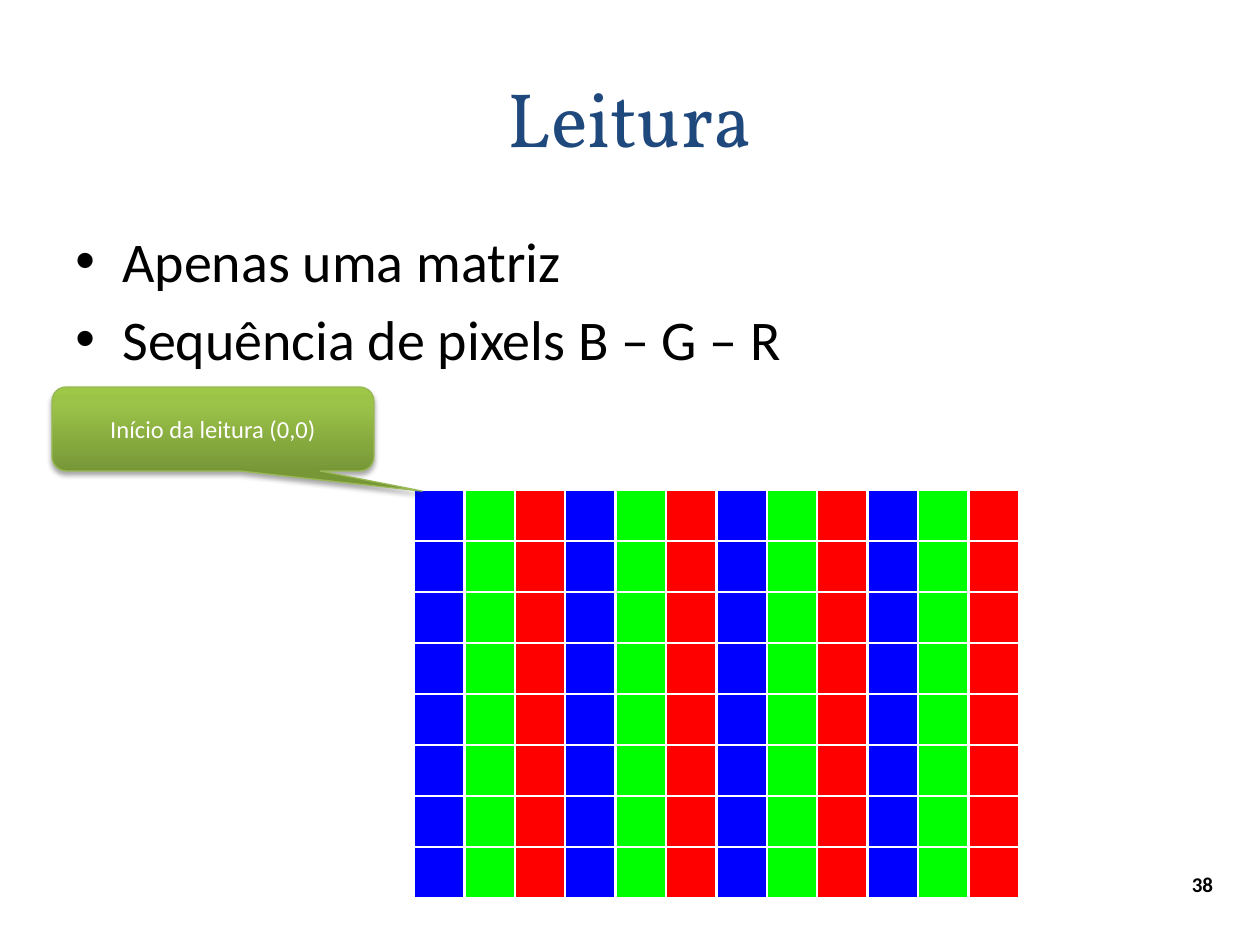
from copy import deepcopy

from lxml import etree
from pptx import Presentation
from pptx import util as u
from pptx.dml.color import RGBColor
from pptx.enum import shapes, text
from pptx.oxml import parse_xml
from pptx.oxml.ns import nsdecls, qn

SCALE = u.Inches(1) / 126
NAVY = RGBColor(0x1F, 0x49, 0x7D)
BLACK = RGBColor(0, 0, 0)
WHITE = RGBColor(255, 255, 255)
BLUE = RGBColor(0, 0, 255)
GREEN = RGBColor(0, 255, 0)
RED = RGBColor(255, 0, 0)
EDGE = RGBColor(0x98, 0xB9, 0x55)
SHADES = [
    (0, RGBColor(0x77, 0x97, 0x37)),
    (0.8, RGBColor(0x9B, 0xC3, 0x48)),
    (1, RGBColor(0x9D, 0xC7, 0x46)),
]
MIDDLE = text.MSO_ANCHOR.MIDDLE
CENTER = text.PP_ALIGN.CENTER

TITLE = {"name": "Vollkorn", "size": u.Pt(44)}
BODY = {"name": "Calibri", "size": u.Pt(32)}
PAGE = {"name": "Calibri", "size": u.Pt(12), "bold": True}
NOTE = {"name": "Calibri", "size": u.Pt(14)}


def px(*nums):
    return [u.Emu(round(n * SCALE)) for n in nums]


def apply(item, style):
    for key, value in style.items():
        setattr(item, key, value)


def write(frame, lines, font, color, para, anchor=MIDDLE):
    apply(frame, {"word_wrap": True, "vertical_anchor": anchor})
    for i, line in enumerate(lines):
        p = frame.add_paragraph() if i else frame.paragraphs[0]
        apply(p, para)
        run = p.add_run()
        run.text = line
        apply(run.font, font)
        run.font.color.rgb = color
    return frame


def add_text(slide, box, lines, font, color, para, anchor=MIDDLE):
    frame = slide.shapes.add_textbox(*px(*box)).text_frame
    return write(frame, lines, font, color, para, anchor)


def add_list(slide, box, lines):
    para = {"space_before": u.Pt(6.4)}
    frame = add_text(slide, box, lines, BODY, BLACK, para, text.MSO_ANCHOR.TOP)
    indent = px(47)[0]
    for p in frame.paragraphs:
        props = p._p.get_or_add_pPr()
        props.set("marL", str(indent))
        props.set("indent", str(-indent))
        etree.SubElement(props, qn("a:buFont")).set("typeface", "Arial")
        etree.SubElement(props, qn("a:buChar")).set("char", "•")


def add_border(cell):
    props = cell._tc.get_or_add_tcPr()
    for i, side in enumerate(("lnL", "lnR", "lnT", "lnB")):
        line = parse_xml(
            f'<a:{side} {nsdecls("a")} w="{u.Pt(1.5)}"><a:solidFill>'
            f'<a:srgbClr val="{WHITE}"/></a:solidFill></a:{side}>'
        )
        props.insert(i, line)


def add_grid(slide, box, rows, colors):
    table = slide.shapes.add_table(rows, len(colors), *px(*box)).table
    for row in table.rows:
        for cell, color in zip(row.cells, colors):
            cell.fill.solid()
            cell.fill.fore_color.rgb = color
            add_border(cell)


def shade(fill, stops):
    fill.gradient()
    fill.gradient_angle = 90
    first = fill.gradient_stops[0]._gs
    first.addnext(deepcopy(first))
    for stop, (place, color) in zip(fill.gradient_stops, stops):
        stop.position = place
        stop.color.rgb = color


def add_shadow(shape):
    shape._element.spPr.append(parse_xml(
        f'<a:effectLst {nsdecls("a")}><a:outerShdw blurRad="{u.Pt(3.1)}" '
        f'dist="{u.Pt(1.8)}" dir="5400000" rotWithShape="0">'
        f'<a:srgbClr val="{BLACK}"><a:alpha val="35000"/></a:srgbClr>'
        '</a:outerShdw></a:effectLst>'
    ))


def add_callout(slide, box, label):
    kind = shapes.MSO_SHAPE.ROUNDED_RECTANGULAR_CALLOUT
    shape = slide.shapes.add_shape(kind, *px(*box))
    for i, value in enumerate((0.65, 0.74, 0.17)):
        shape.adjustments[i] = value
    shade(shape.fill, SHADES)
    shape.line.color.rgb = EDGE
    shape.line.width = u.Pt(0.75)
    add_shadow(shape)
    write(shape.text_frame, [label], NOTE, WHITE, {"alignment": CENTER})


def main():
    deck = Presentation()
    deck.slide_width, deck.slide_height = px(1260, 945)
    slide = deck.slides.add_slide(deck.slide_layouts[6])
    mid = {"alignment": CENTER}
    add_text(slide, (63, 38, 1134, 157), ["Leitura"], TITLE, NAVY, mid)
    add_list(slide, (63, 220, 1134, 624),
             ["Apenas uma matriz", "Sequência de pixels B – G – R"])
    add_text(slide, (1176, 859, 53, 50), ["38"], PAGE, BLACK, mid)
    add_grid(slide, (414, 490, 605, 408), 8, [BLUE, GREEN, RED] * 4)
    add_callout(slide, (52, 387, 322, 84), "Início da leitura (0,0)")
    deck.save("out.pptx")


if __name__ == "__main__":
    main()
